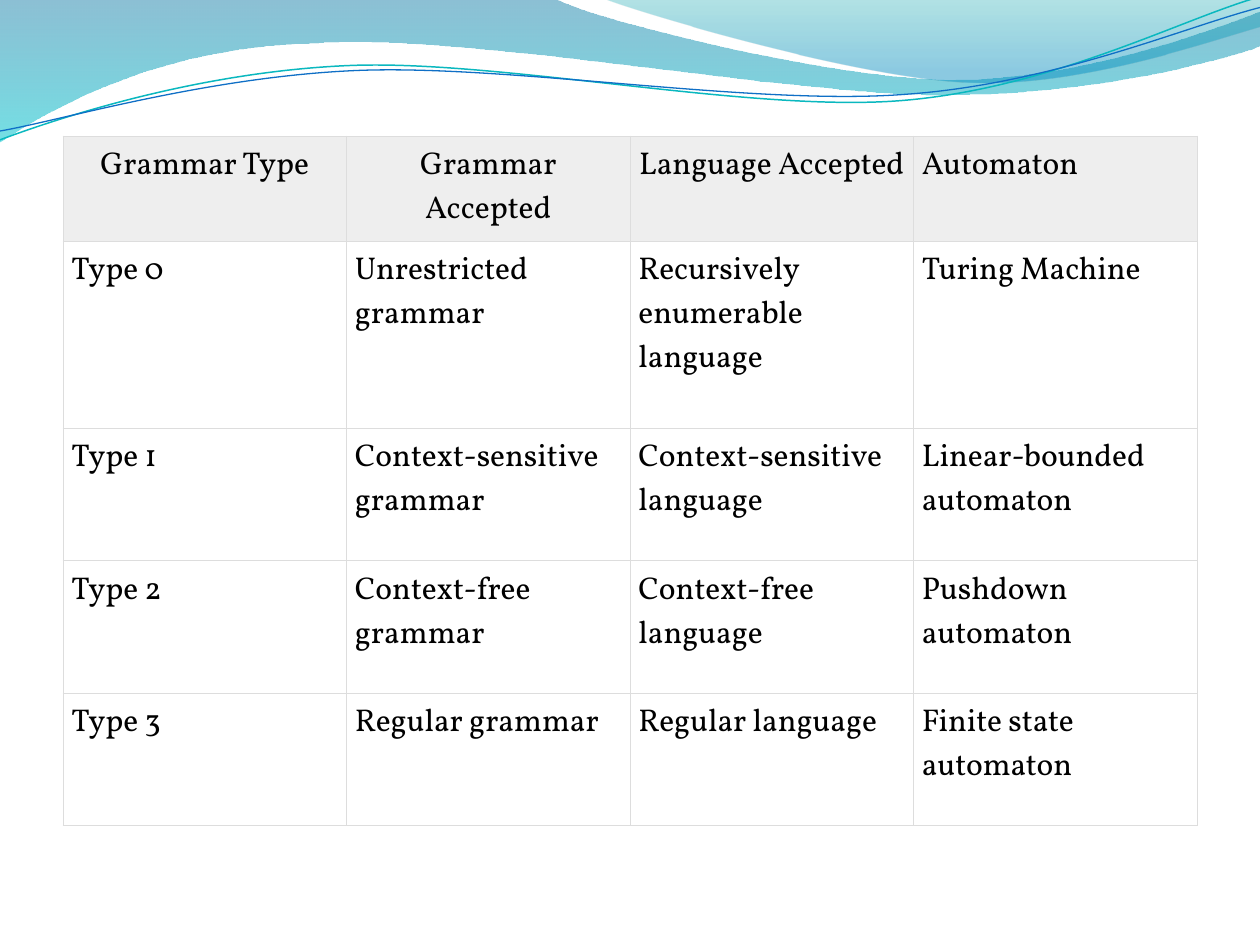
import math
from dataclasses import dataclass

from lxml import etree
from pptx import Presentation
from pptx import util as u
from pptx.dml.color import RGBColor
from pptx.enum import text
from pptx.oxml.ns import qn


@dataclass(frozen=True)
class Theme:
    """Colours and type sizes of the deck."""
    font: str = "Vollkorn"
    size: float = 18
    ink: str = "000000"
    header: str = "EEEEEE"
    body: str = "FFFFFF"
    border: str = "DDDDDD"
    border_width: float = 0.6
    # Gradient stops: position, colour, opacity in percent
    back_wave: tuple = ((0, "0074A1", 45), (1, "00C6CF", 55))
    front_wave: tuple = ((0, "00A1A9", 30), (0.8, "008BBF", 45))
    teal_line: str = "0AB8BF"
    blue_line: str = "0F6FC6"


def inch(value):
    """Return a length in inches as a Cm length."""
    return u.Cm(value * 2.54)


def turn(point, pivot, degrees):
    """Return the point turned clockwise about the pivot."""
    angle = math.radians(degrees)
    x, y = point[0] - pivot[0], point[1] - pivot[1]
    return (pivot[0] + x * math.cos(angle) - y * math.sin(angle),
            pivot[1] + x * math.sin(angle) + y * math.cos(angle))


def write(frame, words, *, font, size, color, align=None, bold=False):
    """Put formatted words in the first paragraph of a text frame."""
    para = frame.paragraphs[0]
    para.alignment = align
    span = para.add_run()
    span.text = words
    span.font.name = font
    span.font.size = u.Pt(size)
    span.font.bold = bold
    span.font.color.rgb = RGBColor.from_string(color)


class Painter:
    """Draws elements on one page in the style of a theme."""

    def __init__(self, page, theme):
        """Keep the page and its theme."""
        self.page = page
        self.theme = theme

    def outline(self, parts, close, pivot=(0, 0), tilt=0):
        """Add a freeform of points (2 numbers) and cubic curves (6 numbers)."""
        points = [turn(part[i:i + 2], pivot, -tilt)
                  for part in parts for i in range(0, len(part), 2)]
        corners = [(inch(x), inch(y)) for x, y in points]
        builder = self.page.shapes.build_freeform(*corners[0], scale=1.0)
        builder.add_line_segments(corners[1:], close=close)
        shape = builder.convert_to_shape()
        shape.shadow.inherit = False
        shape.rotation = tilt
        segments = iter(list(shape.element.spPr.iter(qn("a:lnTo"))))
        for part in parts[1:]:
            segment = next(segments)
            if len(part) == 6:
                segment.tag = qn("a:cubicBezTo")
                for extra in (next(segments), next(segments)):
                    segment.append(extra[0])
                    extra.getparent().remove(extra)
        return shape

    def wave(self, parts, stops):
        """Add a closed area with a translucent gradient from top to bottom."""
        shape = self.outline(parts, True)
        shape.line.fill.background()
        shape.fill.gradient()
        shape.fill.gradient_angle = 270
        for stop, (position, color, _) in zip(shape.fill.gradient_stops, stops):
            stop.position = position
            stop.color.rgb = RGBColor.from_string(color)
        colors = shape.element.spPr.iter(qn("a:srgbClr"))
        for node, (_, _, opacity) in zip(list(colors), stops):
            etree.SubElement(node, qn("a:alpha"), val=str(opacity * 1000))

    def stroke(self, parts, color, width, pivot):
        """Add an open curved line, tilted about the pivot."""
        shape = self.outline(parts, False, pivot, tilt=-2.7)
        shape.fill.background()
        shape.line.color.rgb = RGBColor.from_string(color)
        shape.line.width = u.Pt(width)

    def border(self, cell):
        """Draw a thin line on all four sides of a cell."""
        properties = cell._tc.get_or_add_tcPr()
        for side in ("lnL", "lnR", "lnT", "lnB"):
            line = etree.SubElement(properties, qn("a:" + side),
                                    w=str(u.Pt(self.theme.border_width)))
            fill = etree.SubElement(line, qn("a:solidFill"))
            etree.SubElement(fill, qn("a:srgbClr"), val=self.theme.border)

    def table(self, rows, left, top, widths, heights, header_aligns):
        """Add a bordered table with a shaded first row."""
        theme = self.theme
        table = self.page.shapes.add_table(
            len(rows), len(widths), left, top, sum(widths), sum(heights)).table
        table.horz_banding = False
        for column, width in zip(table.columns, widths):
            column.width = width
        for index, (words_in_row, height) in enumerate(zip(rows, heights)):
            table.rows[index].height = height
            aligns = [None] * len(widths) if index else header_aligns
            for place, (words, align) in enumerate(zip(words_in_row, aligns)):
                cell = table.cell(index, place)
                cell.margin_left = cell.margin_right = u.Cm(0.17)
                cell.margin_top, cell.margin_bottom = u.Cm(0.17), u.Cm(0.18)
                self.border(cell)
                cell.fill.solid()
                cell.fill.fore_color.rgb = RGBColor.from_string(
                    theme.body if index else theme.header)
                write(cell.text_frame, words, font=theme.font, size=theme.size,
                      color=theme.ink, align=align)


BACK_WAVE = (
    (0, 0), (4.4, -0.01), (4.76, 0.17, 6.64, 0.63, 7.58, 0.63),
    (8.53, 0.63, 9.58, 0.26, 10, 0.09), (10.01, 0.36),
    (9.83, 0.44, 8.7, 0.76, 7.46, 0.75), (6.22, 0.75, 3.82, 0.28, 2.57, 0.34),
    (1.29, 0.36, 0.46, 0.83, -0.01, 1.13))
FRONT_WAVE = (
    (4.79, -0.01), (5.09, 0.11, 6.82, 0.62, 7.69, 0.65),
    (8.56, 0.69, 9.61, 0.32, 10, 0.21), (10, 0))
TEAL_LINE = (
    (0, 1.11), (0.48, 0.93, 1.58, 0.57, 2.77, 0.52),
    (3.95, 0.47, 5.93, 0.89, 7.13, 0.8), (8.33, 0.71, 9.38, 0.15, 9.98, -0.02))
BLUE_LINE = (
    (0, 1.04), (0.47, 0.96, 1.64, 0.61, 2.83, 0.56),
    (4.03, 0.51, 5.97, 0.84, 7.17, 0.75), (8.36, 0.67, 9.41, 0.21, 10, 0.06))

GRAMMARS = [
    ("Grammar Type", "Grammar Accepted", "Language Accepted", "Automaton"),
    ("Type 0", "Unrestricted grammar", "Recursively enumerable language",
     "Turing Machine"),
    ("Type 1", "Context-sensitive grammar", "Context-sensitive language",
     "Linear-bounded automaton"),
    ("Type 2", "Context-free grammar", "Context-free language",
     "Pushdown automaton"),
    ("Type 3", "Regular grammar", "Regular language", "Finite state automaton"),
]


def main():
    """Build the deck and save it."""
    deck = Presentation()
    deck.slide_width, deck.slide_height = u.Cm(25.4), u.Cm(19.05)
    theme = Theme()
    painter = Painter(deck.slides.add_slide(deck.slide_layouts[6]), theme)
    painter.wave(BACK_WAVE, theme.back_wave)
    painter.wave(FRONT_WAVE, theme.front_wave)
    painter.stroke(TEAL_LINE, theme.teal_line, 0.85, pivot=(4.99, 0.58))
    painter.stroke(BLUE_LINE, theme.blue_line, 0.75, pivot=(5, 0.59))
    center, justify = text.PP_ALIGN.CENTER, text.PP_ALIGN.JUSTIFY
    painter.table(GRAMMARS, inch(0.5), inch(1.08), [inch(2.25)] * 4,
                  [u.Cm(1.57), u.Cm(3.77)] + [u.Cm(2.67)] * 3,
                  [center] * 3 + [justify])
    deck.save("out.pptx")


main()
